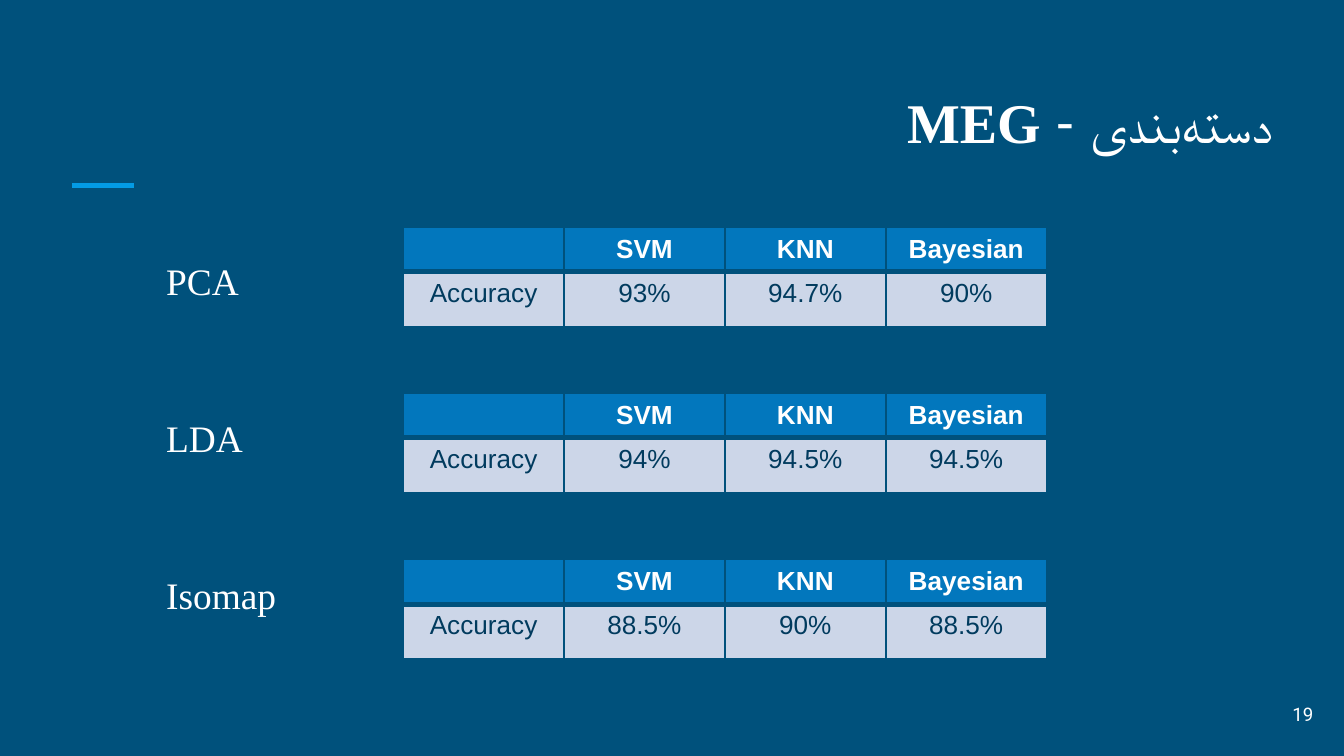
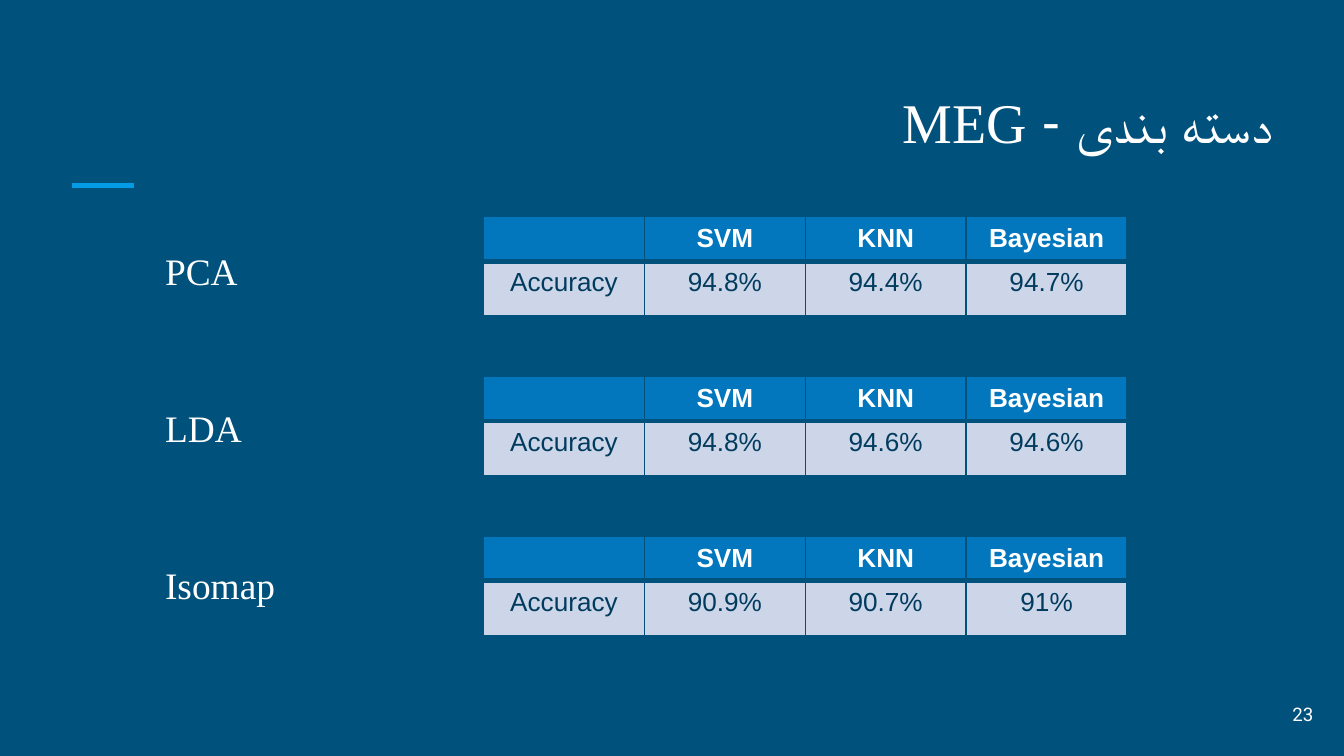
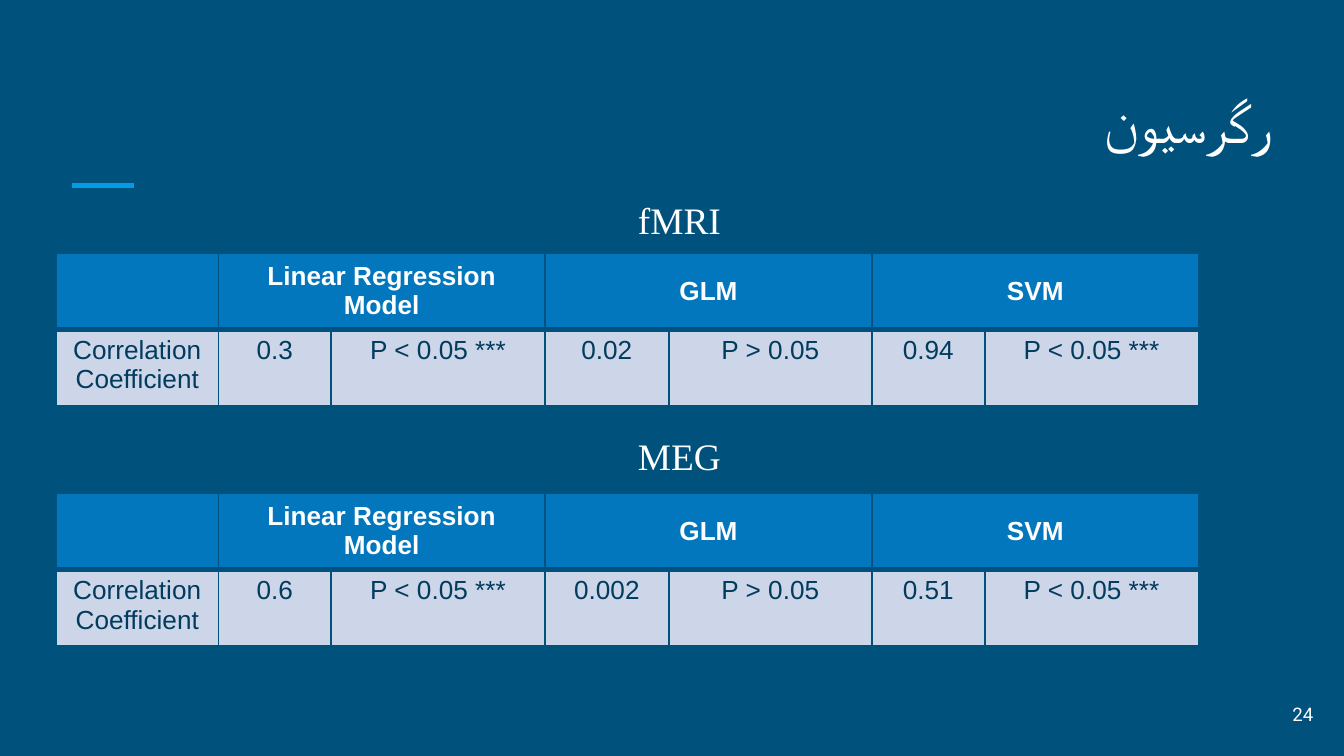
from lxml.etree import SubElement
from pptx import Presentation
from pptx.dml.color import RGBColor
from pptx.enum.shapes import MSO_CONNECTOR as CONN
from pptx.enum.text import MSO_ANCHOR as ANCHOR, PP_ALIGN as ALIGN
from pptx.oxml.ns import qn
from pptx.util import Cm, Pt

COLORS = {
    "back": "00517C",
    "accent": "039BE5",
    "header": "0277BD",
    "body": "CCD6E8",
    "ink": "013B5E",
    "white": "FFFFFF",
}
SERIF = "Times New Roman"
INSET = 0.25
NON_JOINER = chr(0x200C)  # keeps two Persian letters apart without a space

# Boxes are (left, top, width, height) in centimetres
TITLE_BOX = (1.06, 1.27, 23.24, 1.9)
NUMBER_BOX = (23.55, 12.95, 1.52, 1.09)
REGRESSION_COLS = (3.07, 2.13, 4.04, 2.34, 3.84, 2.13, 4.04)


def rgb(name):
    return RGBColor.from_string(COLORS[name])


def write(tf, lines, *, size, font, color="white", bold=False, align=ALIGN.LEFT,
          rtl=False, indent=0, spacing=None, before=0):
    """Fill a text frame; a line is a string or a list of (text, run format)."""
    for i, line in enumerate(lines):
        p = tf.paragraphs[0] if i == 0 else tf.add_paragraph()
        p.alignment = align
        if spacing:
            p.line_spacing = spacing
        if before and i:
            p.space_before = Pt(before)
        pPr = p._p.get_or_add_pPr()
        if rtl:
            pPr.set("rtl", "1")
        if indent:
            pPr.set("marL", str(Cm(indent)))
            pPr.set("indent", "0")
        if not line:
            p._p.get_or_add_endParaRPr().set("sz", str(size * 100))
            continue
        for text, fmt in [(line, {})] if isinstance(line, str) else line:
            r = p.add_run()
            r.text = text
            r.font.size = Pt(size)
            r.font.name = fmt.get("font", font)
            r.font.bold = fmt.get("bold", bold)
            r.font.color.rgb = rgb(color)
            SubElement(r.font._element, qn("a:cs"), typeface=r.font.name)


def add_text(s, box, lines, anchor=ANCHOR.TOP, **fmt):
    tf = s.shapes.add_textbox(*map(Cm, box)).text_frame
    tf.word_wrap = True
    tf.vertical_anchor = anchor
    tf.margin_left = tf.margin_right = tf.margin_top = tf.margin_bottom = Cm(INSET)
    write(tf, lines, **fmt)


def add_labels(s, box, lines, **fmt):
    add_text(s, box, lines, size=20, font=SERIF, indent=0.3, spacing=1.15, **fmt)


def add_frame(prs, title, number, rtl=True):
    """Start a slide with its background, accent line, title and number."""
    s = prs.slides.add_slide(prs.slide_layouts[6])
    s.background.fill.solid()
    s.background.fill.fore_color.rgb = rgb("back")
    line = s.shapes.add_connector(CONN.STRAIGHT, Cm(1.36), Cm(3.51), Cm(2.54), Cm(3.51))
    line.line.color.rgb = rgb("accent")
    line.line.width = Pt(3)
    SubElement(line._element.spPr, qn("a:effectLst"))
    add_text(s, TITLE_BOX, [title], anchor=ANCHOR.BOTTOM, size=30,
             font="Roboto Slab", align=ALIGN.RIGHT, rtl=rtl)
    add_text(s, NUMBER_BOX, [str(number)], anchor=ANCHOR.MIDDLE, size=10,
             font="Roboto", align=ALIGN.RIGHT)
    return s


def set_borders(cell, bottom):
    tcPr = cell._tc.get_or_add_tcPr()
    for side, width in (("L", 1), ("R", 1), ("T", 1), ("B", bottom)):
        ln = SubElement(tcPr, qn(f"a:ln{side}"), w=str(Pt(width)))
        fill = SubElement(ln, qn("a:solidFill"))
        SubElement(fill, qn("a:srgbClr"), val=COLORS["back"])


def add_result_table(s, left, top, cols, heights, rows, span=1):
    """Header row over one body row; each header after the first covers span columns."""
    box = (left, top, sum(cols), sum(heights))
    table = s.shapes.add_table(len(rows), len(cols), *map(Cm, box)).table
    for column, width in zip(table.columns, cols):
        column.width = Cm(width)
    for i, (row, height) in enumerate(zip(table.rows, heights)):
        row.height = Cm(height)
        head = i == 0
        for cell in row.cells:
            set_borders(cell, bottom=3 if head else 1)
            cell.fill.solid()
            cell.fill.fore_color.rgb = rgb("header" if head else "body")
            cell.vertical_anchor = ANCHOR.MIDDLE if head else ANCHOR.TOP
        step = span if head else 1
        for j, text in enumerate(rows[i]):
            col = 1 + (j - 1) * step if j else 0
            cell = table.cell(i, col)
            if j and step > 1:
                cell.merge(table.cell(i, col + step - 1))
            write(cell.text_frame, text.split("\n"), size=14, font="Arial", bold=head,
                  color="white" if head else "ink", align=ALIGN.CENTER)


def classification_slide(prs, title, number, labels_at, tables_at, pitch, results):
    """Reduction methods on the left, one accuracy table for each on the right."""
    s = add_frame(prs, title, number)
    left, top = tables_at
    for i, scores in enumerate(results.values()):
        add_result_table(s, left, top + i * pitch, [3.04] * 4, (0.82, 1.04),
                         [("", "SVM", "KNN", "Bayesian"), ("Accuracy", *scores)])
    add_labels(s, (*labels_at, 10.1, 8.53), list(results), before=56.5)


def regression_slide(prs, title, number, results):
    """Wide tables, each under its centred label."""
    s = add_frame(prs, title, number, rtl=False)
    header = ("", "Linear Regression\nModel", "GLM", "SVM")
    for label, label_top, table_top, values in results:
        add_result_table(s, 1.06, table_top, REGRESSION_COLS, (1.36, 1.36),
                         [header, ("Correlation Coefficient", *values)], span=2)
        add_labels(s, (10.8, label_top, 3.78, 1.9), [label], align=ALIGN.CENTER)


def main():
    prs = Presentation()
    prs.slide_width, prs.slide_height = Cm(25.4), Cm(14.29)

    classification_slide(
        prs, [(f"دسته{NON_JOINER}بندی - ", {}), ("MEG", {"font": SERIF, "bold": True})], 19,
        labels_at=(2.59, 4.5), tables_at=(7.62, 4.29), pitch=3.14,
        results={"PCA": ("93%", "94.7%", "90%"),
                 "LDA": ("94%", "94.5%", "94.5%"),
                 "Isomap": ("88.5%", "90%", "88.5%")})
    classification_slide(
        prs, [("دسته بندی - ", {}), ("MEG", {"font": SERIF})], 23,
        labels_at=(2.57, 4.32), tables_at=(9.14, 4.09), pitch=3.02,
        results={"PCA": ("94.8%", "94.4%", "94.7%"),
                 "LDA": ("94.8%", "94.6%", "94.6%"),
                 "Isomap": ("90.9%", "90.7%", "91%")})

    below, above = "P < 0.05 ***", "P > 0.05"
    regression_slide(prs, "رگرسیون", 24, [
        ("fMRI", 3.35, 4.78, ("0.3", below, "0.02", above, "0.94", below)),
        ("MEG", 7.82, 9.32, ("0.6", below, "0.002", above, "0.51", below)),
    ])
    prs.save("out.pptx")


if __name__ == "__main__":
    main()
